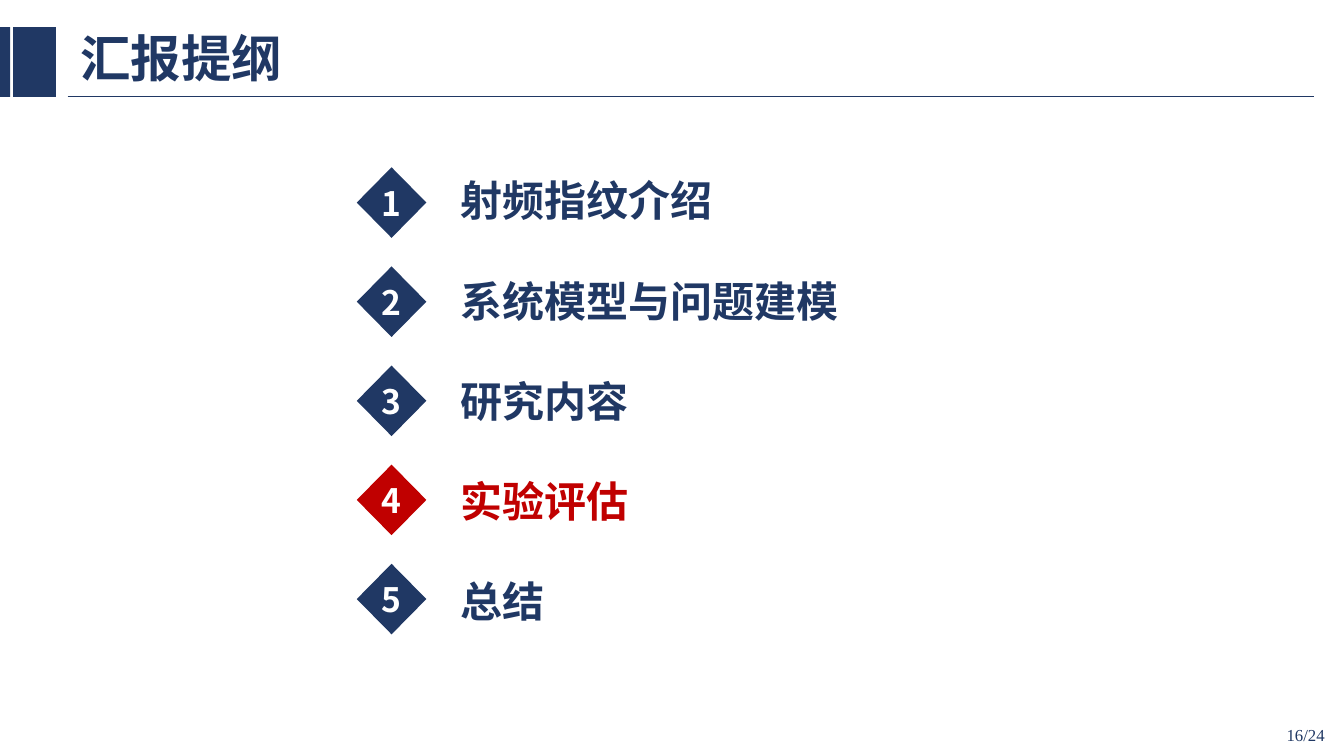
import dataclasses

import pptx
import pptx.dml.color
import pptx.enum.shapes
import pptx.enum.text
import pptx.oxml
import pptx.oxml.ns
import pptx.util

SHAPE = pptx.enum.shapes.MSO_SHAPE
ALIGN = pptx.enum.text.PP_ALIGN
ANCHOR = pptx.enum.text.MSO_ANCHOR
AUTO_SIZE = pptx.enum.text.MSO_AUTO_SIZE


@dataclasses.dataclass(frozen=True)
class Theme:
    navy: str = "203864"
    red: str = "C00000"
    white: str = "FFFFFF"
    heading_font: str = "Noto Sans CJK SC"
    page_font: str = "Times New Roman"
    title_size: int = 36
    topic_size: int = 30
    number_size: int = 24
    page_size: int = 12


def set_values(target, values):
    for name, value in values.items():
        setattr(target, name, value)


def rgb(color):
    return pptx.dml.color.RGBColor.from_string(color)


class OutlineSlide:
    """A slide laid out on a grid of 80 columns by 45 rows."""

    COLUMNS, ROWS = 80, 45

    def __init__(self, presentation, theme):
        self.theme = theme
        self.column = presentation.slide_width / self.COLUMNS
        self.row = presentation.slide_height / self.ROWS
        self.slide = presentation.slides.add_slide(presentation.slide_layouts[6])

    def place(self, left, top, width, height):
        return [round(left * self.column), round(top * self.row),
                round(width * self.column), round(height * self.row)]

    def fill_text(self, shape, text, size, color, font_name=None, bold=True,
                  alignment=ALIGN.LEFT, line_spacing=None, **frame_values):
        frame = shape.text_frame
        set_values(frame, frame_values)
        paragraph = frame.paragraphs[0]
        set_values(paragraph, {"alignment": alignment, "line_spacing": line_spacing})
        run = paragraph.add_run()
        run.text = text
        name = font_name or self.theme.heading_font
        set_values(run.font, {"name": name, "size": pptx.util.Pt(size), "bold": bold})
        run.font.color.rgb = rgb(color)
        east_asian = pptx.oxml.parse_xml(
            f'<a:ea {pptx.oxml.ns.nsdecls("a")} typeface="{name}"/>')
        run.font._element.append(east_asian)

    def text(self, box, text, size, color, **style):
        shape = self.slide.shapes.add_textbox(*self.place(*box))
        self.fill_text(shape, text, size, color, word_wrap=True, **style)

    def block(self, kind, box, color):
        shape = self.slide.shapes.add_shape(kind, *self.place(*box))
        shape.shadow.inherit = False
        shape.fill.solid()
        shape.fill.fore_color.rgb = rgb(color)
        shape.line.fill.background()
        return shape

    def rule(self, left, right, row):
        x_start, y, x_end, _ = self.place(left, row, right, row)
        line = self.slide.shapes.add_connector(
            pptx.enum.shapes.MSO_CONNECTOR.STRAIGHT, x_start, y, x_end, y)
        line.line.width = pptx.util.Pt(1)
        line.line.color.rgb = rgb(self.theme.navy)
        line._element.spPr.append(
            pptx.oxml.parse_xml(f'<a:effectLst {pptx.oxml.ns.nsdecls("a")}/>'))

    def topic(self, number, text, label_top, label_width, color):
        diamond_top = 9.96 + 5.9 * (number - 1)
        diamond = self.block(SHAPE.DIAMOND, (21.24, diamond_top, 4.14, 4.2), color)
        self.fill_text(diamond, str(number), self.theme.number_size, self.theme.white,
                       alignment=ALIGN.CENTER, vertical_anchor=ANCHOR.MIDDLE,
                       word_wrap=False, margin_left=0, margin_right=0)
        self.text((26.82, label_top, label_width, 3.66), text,
                  self.theme.topic_size, color, auto_size=AUTO_SIZE.SHAPE_TO_FIT_TEXT)


# Topic, label top in rows, label width in columns
TOPICS = [
    ("射频指纹介绍", 10.08, 38.1),
    ("系统模型与问题建模", 16.08, 38.1),
    ("研究内容", 22.08, 39.5),
    ("实验评估", 28.02, 29.6),
    ("总结", 33.96, 29.6),
]
CURRENT_TOPIC = 4


def main():
    presentation = pptx.Presentation()
    set_values(presentation, {"slide_width": pptx.util.Inches(13.33),
                              "slide_height": pptx.util.Inches(7.5)})
    theme = Theme()
    outline = OutlineSlide(presentation, theme)

    outline.rule(4.02, 78.2, 5.76)
    for left, width in ((0, 0.6), (0.78, 2.55)):
        outline.block(SHAPE.RECTANGLE, (left, 1.62, width, 4.14), theme.navy)
    outline.text((4.2, 1.26, 16.14, 4.8), "汇报提纲", theme.title_size, theme.navy,
                 line_spacing=0.9, vertical_anchor=ANCHOR.MIDDLE)
    outline.text((61.45, 42.54, 18, 2.4), "16/24", theme.page_size, theme.navy,
                 font_name=theme.page_font, bold=False, alignment=ALIGN.RIGHT,
                 vertical_anchor=ANCHOR.MIDDLE)

    for number, (text, label_top, label_width) in enumerate(TOPICS, start=1):
        color = theme.red if number == CURRENT_TOPIC else theme.navy
        outline.topic(number, text, label_top, label_width, color)

    presentation.save("out.pptx")


if __name__ == "__main__":
    main()
